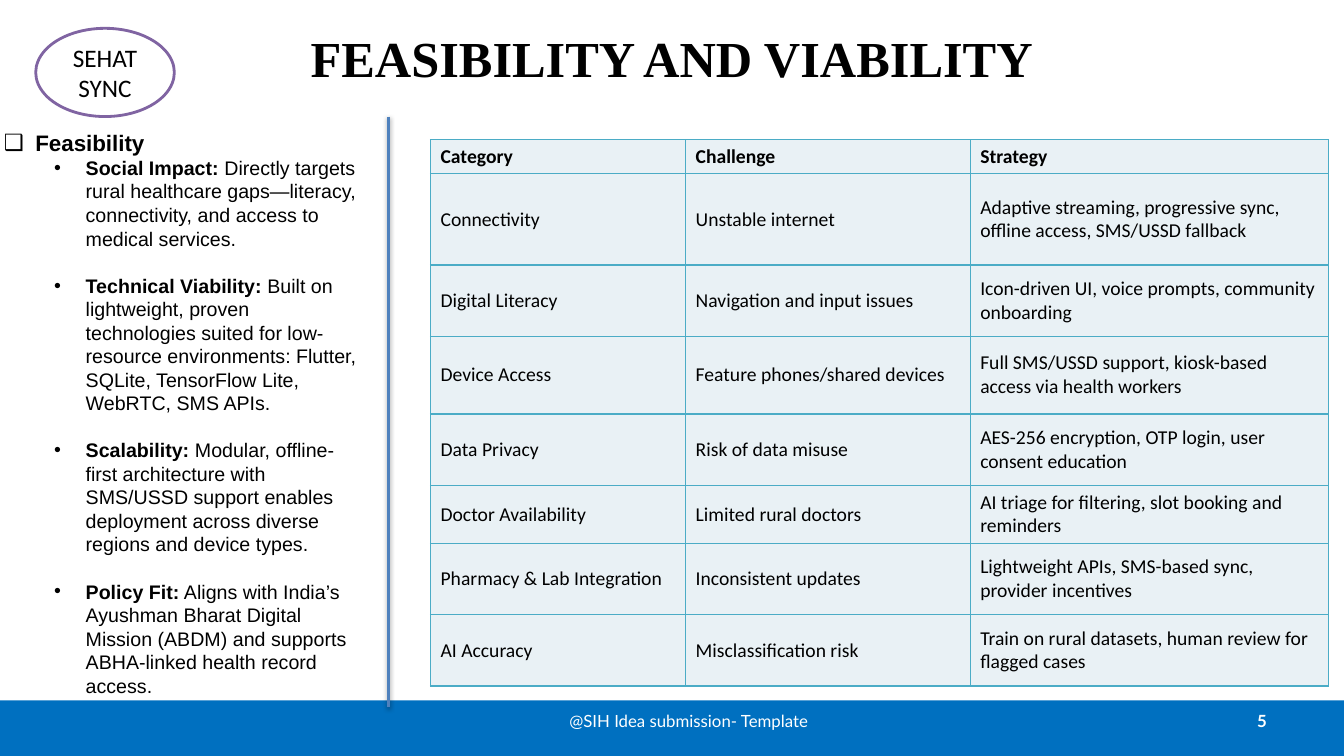
"""Builds the feasibility and viability slide."""
from lxml import etree
from pptx import Presentation
from pptx.dml.color import RGBColor
from pptx.enum.shapes import MSO_CONNECTOR, MSO_SHAPE
from pptx.enum.text import MSO_ANCHOR, MSO_AUTO_SIZE, PP_ALIGN
from pptx.oxml.ns import qn
from pptx.util import Emu, Pt

EMU_PER_PX = 9525
LEFT, CENTER, RIGHT = PP_ALIGN.LEFT, PP_ALIGN.CENTER, PP_ALIGN.RIGHT
MIDDLE, TOP = MSO_ANCHOR.MIDDLE, MSO_ANCHOR.TOP
NO_AUTOFIT = MSO_AUTO_SIZE.NONE
RECTANGLE, OVAL = MSO_SHAPE.RECTANGLE, MSO_SHAPE.OVAL
STRAIGHT = MSO_CONNECTOR.STRAIGHT

BLACK = RGBColor(0x00, 0x00, 0x00)
WHITE = RGBColor(0xFF, 0xFF, 0xFF)
GRAY = RGBColor(0x80, 0x80, 0x80)
FOOTER_BLUE = RGBColor(0x00, 0x70, 0xC0)
DIVIDER_BLUE = RGBColor(0x4F, 0x81, 0xBD)
PURPLE = RGBColor(0x80, 0x64, 0xA2)
TEAL = RGBColor(0x4B, 0xAC, 0xC6)
CELL_FILL = RGBColor(0xE9, 0xF1, 0xF5)

FEASIBILITY_POINTS = [
    ("Social Impact:", " Directly targets rural healthcare gaps—literacy, connectivity, "
     "and access to medical services."),
    ("Technical Viability:", " Built on lightweight, proven technologies suited for "
     "low-resource environments: Flutter, SQLite, TensorFlow Lite, WebRTC, SMS APIs."),
    ("Scalability:", " Modular, offline-first architecture with SMS/USSD support enables "
     "deployment across diverse regions and device types."),
    ("Policy Fit:", " Aligns with India’s Ayushman Bharat Digital Mission (ABDM) and "
     "supports ABHA-linked health record access."),
]
CHALLENGES = [
    ("Category", "Challenge", "Strategy"),
    ("Connectivity", "Unstable internet",
     "Adaptive streaming, progressive sync, offline access, SMS/USSD fallback"),
    ("Digital Literacy", "Navigation and input issues",
     "Icon-driven UI, voice prompts, community onboarding"),
    ("Device Access", "Feature phones/shared devices",
     "Full SMS/USSD support, kiosk-based access via health workers"),
    ("Data Privacy", "Risk of data misuse",
     "AES-256 encryption, OTP login, user consent education"),
    ("Doctor Availability", "Limited rural doctors",
     "AI triage for filtering, slot booking and reminders"),
    ("Pharmacy & Lab Integration", "Inconsistent updates",
     "Lightweight APIs, SMS-based sync, provider incentives"),
    ("AI Accuracy", "Misclassification risk",
     "Train on rural datasets, human review for flagged cases"),
]
COLUMN_WIDTHS = [243, 271, 341]
ROW_HEIGHTS = [31, 87, 68, 74, 68, 53, 68, 68]


def px(*lengths):
    return [Emu(length * EMU_PER_PX) for length in lengths]


def write(paragraph, text, font="Calibri", size=14, color=BLACK, bold=False, align=LEFT):
    paragraph.alignment = align
    run = paragraph.add_run()
    run.text = text
    run.font.name, run.font.size, run.font.bold = font, Pt(size), bold
    run.font.color.rgb = color


def set_bullet(paragraph, character, margin, hanging):
    properties = paragraph._p.get_or_add_pPr()
    margin_emu, hanging_emu = px(margin, hanging)
    properties.set("marL", str(margin_emu))
    properties.set("indent", str(-hanging_emu))
    etree.SubElement(properties, qn("a:buFont"), typeface="Arial")
    etree.SubElement(properties, qn("a:buChar"), char=character)


def add_shadow(shape, color, opacity, blur, distance):
    properties = shape._element.spPr
    effects = properties.find(qn("a:effectLst"))
    if effects is None:
        effects = etree.SubElement(properties, qn("a:effectLst"))
    shadow = etree.SubElement(
        effects, qn("a:outerShdw"), blurRad=str(Pt(blur)), dist=str(Pt(distance)),
        dir="5400000", rotWithShape="0")
    tint = etree.SubElement(shadow, qn("a:srgbClr"), val=str(color))
    etree.SubElement(tint, qn("a:alpha"), val=str(opacity * 1000))


def set_borders(cell, color, width):
    properties = cell._tc.get_or_add_tcPr()
    for index, side in enumerate(("lnL", "lnR", "lnT", "lnB")):
        border = etree.Element(qn(f"a:{side}"), w=str(Pt(width)))
        fill = etree.SubElement(border, qn("a:solidFill"))
        etree.SubElement(fill, qn("a:srgbClr"), val=str(color))
        properties.insert(index, border)


class FeasibilitySlide:
    """Holds the slide and adds each kind of element in its style."""

    def __init__(self, presentation):
        self.slide = presentation.slides.add_slide(presentation.slide_layouts[1])
        self.shapes = self.slide.shapes

    def place(self, shape, box, anchor):
        shape.left, shape.top, shape.width, shape.height = px(*box)
        frame = shape.text_frame
        frame.word_wrap, frame.auto_size = True, NO_AUTOFIT
        frame.vertical_anchor = anchor
        return frame

    def title(self, text, box):
        frame = self.place(self.shapes.title, box, MIDDLE)
        write(frame.paragraphs[0], text, font="Times New Roman", size=36, bold=True,
              align=CENTER)

    def feasibility_list(self, heading, points, box):
        frame = self.place(self.slide.placeholders[1], box, TOP)
        first = frame.paragraphs[0]
        set_bullet(first, "❑", 30, 30)
        write(first, heading, font="Arial", size=16, bold=True)
        for label, detail in points:
            paragraph = frame.add_paragraph()
            paragraph.level = 1
            set_bullet(paragraph, "•", 78, 30)
            write(paragraph, label, font="Arial", bold=True)
            write(paragraph, detail, font="Arial")
            paragraph.space_after = Pt(16.8)
        for paragraph in frame.paragraphs:
            paragraph.space_before = Pt(0)
            paragraph.line_spacing = 1.0
        first.space_after = frame.paragraphs[-1].space_after = Pt(0)

    def shape(self, kind, box, fill, line=None):
        shape = self.shapes.add_shape(kind, *px(*box))
        shape.shadow.inherit = False
        shape.fill.solid()
        shape.fill.fore_color.rgb = fill
        if line is None:
            shape.line.fill.background()
        else:
            shape.line.color.rgb, shape.line.width = line, Pt(2)
        return shape

    def footer_bar(self, box):
        bar = self.shape(RECTANGLE, box, FOOTER_BLUE)
        add_shadow(bar, GRAY, 35, 0, 1.8)
        self.shapes._spTree.insert(2, bar._element)

    def text(self, text, box, **style):
        shape = self.shapes.add_textbox(*px(*box))
        write(self.place(shape, box, MIDDLE).paragraphs[0], text, **style)

    def divider(self, x, top, bottom):
        line = self.shapes.add_connector(STRAIGHT, *px(x, top, x, bottom))
        line.line.color.rgb, line.line.width = DIVIDER_BLUE, Pt(2)
        add_shadow(line, BLACK, 38, 3.1, 1.6)

    def table(self, rows, left, top):
        box = px(left, top, sum(COLUMN_WIDTHS), sum(ROW_HEIGHTS))
        table = self.shapes.add_table(len(rows), len(COLUMN_WIDTHS), *box).table
        for column, width in zip(table.columns, px(*COLUMN_WIDTHS)):
            column.width = width
        for row, height in zip(table.rows, px(*ROW_HEIGHTS)):
            row.height = height
        for row_index, texts in enumerate(rows):
            for column_index, text in enumerate(texts):
                cell = table.cell(row_index, column_index)
                cell.vertical_anchor = MIDDLE
                cell.fill.solid()
                cell.fill.fore_color.rgb = CELL_FILL
                set_borders(cell, TEAL, 1)
                write(cell.text_frame.paragraphs[0], text, bold=row_index == 0)


def main():
    presentation = Presentation()
    presentation.slide_width, presentation.slide_height = px(1280, 720)
    page = FeasibilitySlide(presentation)
    page.footer_bar((0, 667, 1280, 53))
    page.title("FEASIBILITY AND VIABILITY", (64, -5, 1152, 120))
    page.feasibility_list("Feasibility", FEASIBILITY_POINTS, (-6, 118, 361, 556))
    page.text("5", (918, 667, 298, 39), font="Lato", size=12, color=WHITE, bold=True,
              align=RIGHT)
    page.text("@SIH Idea submission- Template", (488, 667, 336, 39), font="Lato", size=12,
              color=WHITE, align=CENTER)
    badge_box = (34, 27, 132, 84)
    badge = page.shape(OVAL, badge_box, WHITE, line=PURPLE)
    write(page.place(badge, badge_box, MIDDLE).paragraphs[0], "SEHAT SYNC", size=18,
          align=CENTER)
    page.table(CHALLENGES, 410, 133)
    page.divider(370, 111, 673)
    presentation.save("out.pptx")


if __name__ == "__main__":
    main()
